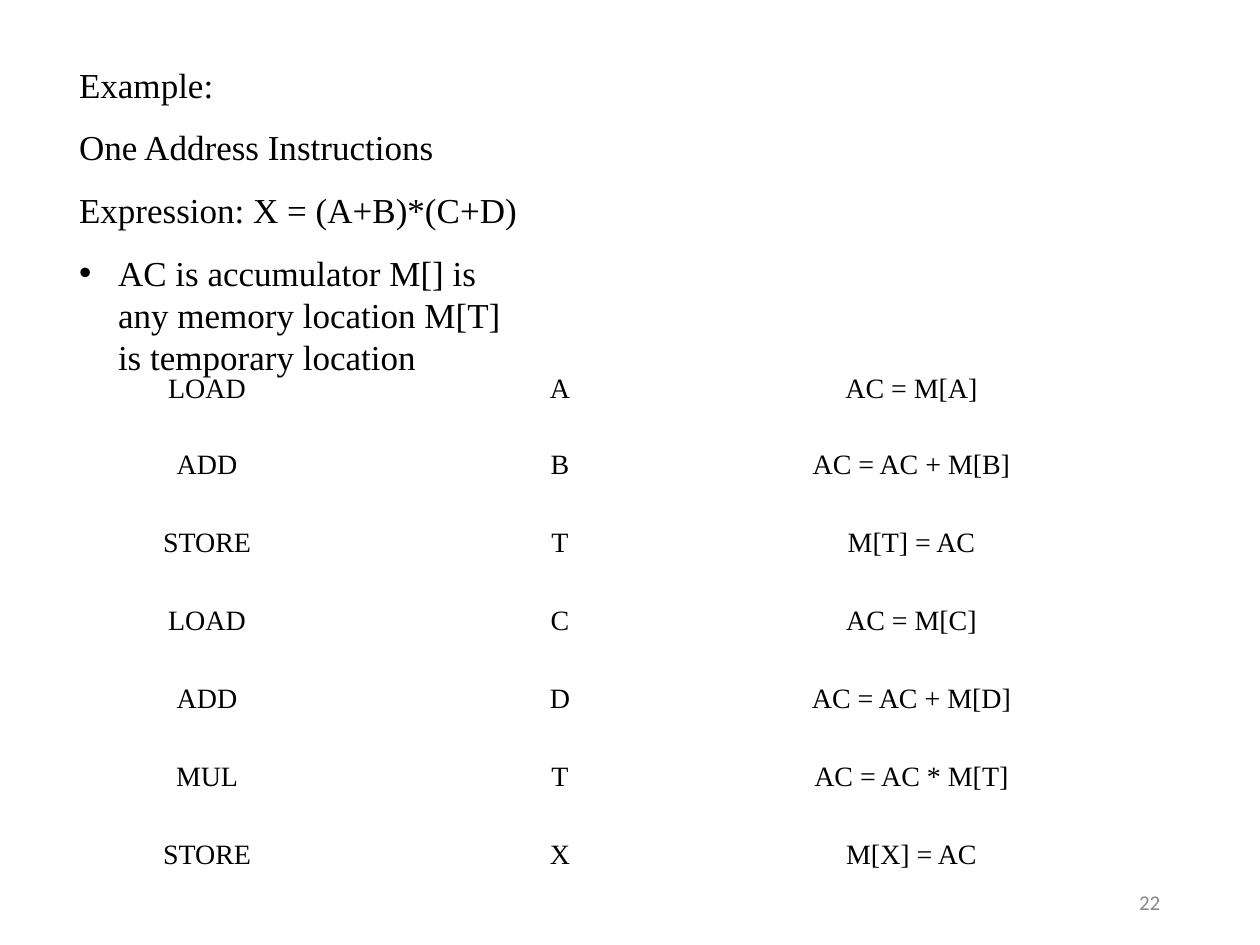
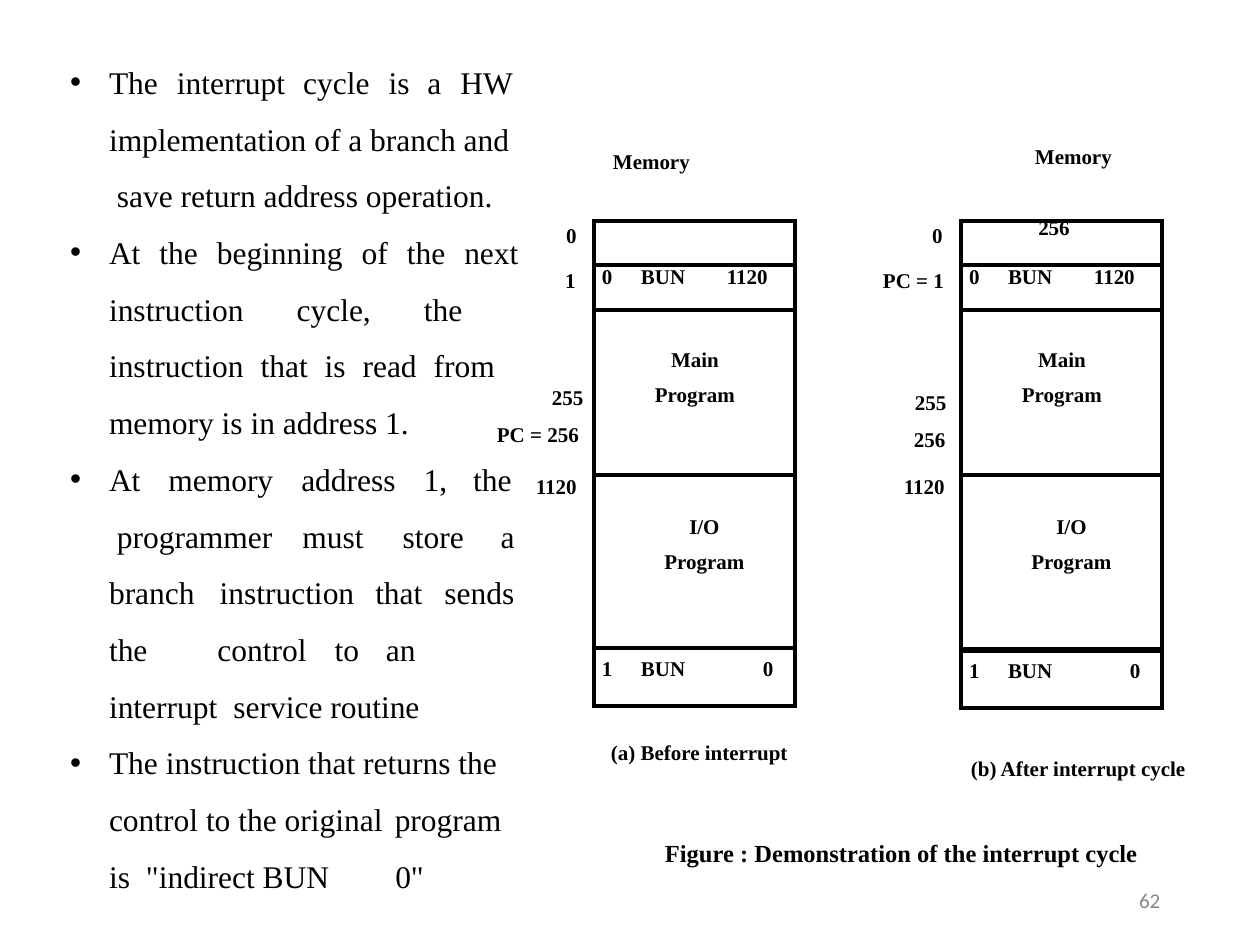
from pptx import Presentation
from pptx.dml.color import RGBColor
from pptx.enum.text import MSO_ANCHOR, MSO_AUTO_SIZE, PP_ALIGN
from pptx.oxml import parse_xml
from pptx.oxml.ns import nsdecls, qn
from pptx.util import Emu, Pt

SERIF, SANS = "Times New Roman", "Calibri"
BLACK, GREY = "000000", "888888"


def px(length):
    return Emu(round(length * 914400 / 126))


def write(frame, lines, size, bold=False, align=PP_ALIGN.LEFT, font=SERIF, color=BLACK):
    """Fill a text frame with one plain paragraph per line and return the paragraphs."""
    frame.margin_left = frame.margin_right = frame.margin_top = frame.margin_bottom = 0
    frame.word_wrap = True
    frame.auto_size = MSO_AUTO_SIZE.NONE
    frame.vertical_anchor = MSO_ANCHOR.TOP
    frame.text = "\n".join(lines)
    for paragraph in frame.paragraphs:
        paragraph.alignment = align
        paragraph.space_before = paragraph.space_after = 0
        paragraph.font.name = font
        paragraph.font.size = Pt(size)
        paragraph.font.bold = bold
        paragraph.font.color.rgb = RGBColor.from_string(color)
    return frame.paragraphs


prs = Presentation()
prs.slide_width, prs.slide_height = px(1260), px(945)
address_slide = prs.slides.add_slide(prs.slide_layouts[1])
interrupt_slide = prs.slides.add_slide(prs.slide_layouts[1])

# One address instructions: heading and notes
heading = address_slide.shapes.title
heading.left, heading.top, heading.width, heading.height = px(79), px(63), px(446), px(40)
write(heading.text_frame, ["Example:"], 20)

address_notes = [
    "One Address Instructions",
    "Expression: X = (A+B)*(C+D)",
    "AC is accumulator M[] is any memory location M[T] is temporary location",
]

# One list per bullet: each line with the extra width of its word gaps in px
interrupt_notes = [
    [
        ("The interrupt cycle is a HW", [11, 10, 11, 10, 11]),
        ("implementation of a branch and", []),
        (" save return address operation.", []),
    ],
    [
        ("At the beginning of the next", [11] * 5),
        ("instruction cycle, the", [45, 45]),
        ("instruction that is read from", [9] * 4),
        ("memory is in address 1.", []),
    ],
    [
        ("At memory address 1, the", [20, 20, 20, 18]),
        (" programmer must store a", [0, 22, 31, 29]),
        ("branch instruction that sends", [17, 13, 14]),
        ("the control to an", [62, 20, 19]),
        ("interrupt service routine", [8, 0]),
    ],
    [
        ("The instruction that returns the", []),
        ("control to the original program", [0, 0, 0, 4]),
        ("is \"indirect BUN 0\"", [8, 0, 58]),
    ],
]

# Slide, paragraphs, frame, text size, line pitch, first bullet, text indent
for slide, notes, (left, top, width, height), size, pitch, first_bullet, indent in [
    (address_slide, address_notes, (79, 104, 446, 275), 20, 36, 2, 39),
    (interrupt_slide, [""] * len(interrupt_notes), (68, 44, 470, 851), 18, 32.4, 0, 41),
]:
    body = slide.placeholders[1]
    body.left, body.top, body.width, body.height = px(left), px(top), px(width), px(height)
    for index, paragraph in enumerate(write(body.text_frame, notes, size)):
        bulleted = index >= first_bullet
        paragraph.line_spacing = Pt(pitch)
        properties = paragraph._p.get_or_add_pPr()
        properties.set("marL", str(px(indent if bulleted else 0)))
        properties.set("indent", str(px(-39 if bulleted else 0)))
        bullet = '<a:buChar %s char="•"/>' if bulleted else "<a:buNone %s/>"
        properties.find(qn("a:defRPr")).addprevious(parse_xml(bullet % nsdecls("a")))

accumulator_note = address_slide.placeholders[1].text_frame.paragraphs[-1]
accumulator_note.line_spacing = Pt(24)
accumulator_note.space_before = Pt(12)

for paragraph, lines in zip(interrupt_slide.placeholders[1].text_frame.paragraphs, interrupt_notes):
    for line_index, (line, gaps) in enumerate(lines):
        if line_index:
            paragraph.add_line_break()
        words = line.split(" ", len(gaps))
        for word, gap in zip(words, gaps):
            paragraph.add_run().text = word
            space = paragraph.add_run()
            space.text = " "
            space._r.get_or_add_rPr().set("spc", str(round(gap / 1.75 * 100)))
        paragraph.add_run().text = words[-1]

interrupt_title = interrupt_slide.shapes.title
interrupt_title._element.getparent().remove(interrupt_title._element)

# Instruction listing, behind the notes
instructions = [
    ("LOAD", "A", "AC = M[A]"),
    ("ADD", "B", "AC = AC + M[B]"),
    ("STORE", "T", "M[T] = AC"),
    ("LOAD", "C", "AC = M[C]"),
    ("ADD", "D", "AC = AC + M[D]"),
    ("MUL", "T", "AC = AC * M[T]"),
    ("STORE", "X", "M[X] = AC"),
]
listing_frame = address_slide.shapes.add_table(7, 3, px(146), px(374), px(883), px(500))
address_slide.shapes._spTree.insert(2, listing_frame._element)
listing = listing_frame.table
listing.first_row = listing.horz_banding = False
for column, width in zip(listing.columns, (254, 291, 338)):
    column.width = px(width)
for row_index, instruction in enumerate(instructions):
    listing.rows[row_index].height = px(55 if row_index in (0, 6) else 78)
    for column_index, (text, margins) in enumerate(zip(instruction, ((0, 132), (29, 0), (103, 0)))):
        cell = listing.cell(row_index, column_index)
        cell.fill.background()
        cell.margin_left, cell.margin_right = map(px, margins)
        write(cell.text_frame, [text], 16, align=PP_ALIGN.CENTER)
        cell.margin_left, cell.margin_right = map(px, margins)
        cell.margin_top, cell.margin_bottom = px(21 if row_index else 0), 0

# Memory before and after the interrupt: left edge, return address, I/O height, rule above last row
for left, return_address, io_height, last_rule in [(594, "", 173, 2.25), (961, "256", 175, 4.25)]:
    row_heights = (44, 45, 165, io_height, 58)
    memory = interrupt_slide.shapes.add_table(
        5, 3, px(left), px(221), px(201), px(sum(row_heights))).table
    memory.first_row = memory.horz_banding = False
    for column, width in zip(memory.columns, (34, 79, 88)):
        column.width = px(width)
    for row, height in zip(memory.rows, row_heights):
        row.height = px(height)

    for row_index in range(5):
        merged = row_index in (0, 2, 3)
        for column_index in range(3):
            cell = memory.cell(row_index, column_index)
            cell.margin_left = cell.margin_right = cell.margin_top = cell.margin_bottom = 0
            cell.fill.background()
            rules = [
                ("lnL", 2.25 if merged or column_index == 0 else 0),
                ("lnR", 2.25 if merged or column_index == 2 else 0),
                ("lnT", last_rule if row_index == 4 else 2.25),
                ("lnB", last_rule if row_index == 3 else 2.25),
            ]
            for position, (side, weight) in enumerate(rules):
                paint = f'<a:solidFill><a:srgbClr val="{BLACK}"/></a:solidFill>' if weight else "<a:noFill/>"
                cell._tc.get_or_add_tcPr().insert(position, parse_xml(
                    f'<a:{side} {nsdecls("a")} w="{Pt(weight)}">{paint}</a:{side}>'))
        if merged:
            memory.cell(row_index, 0).merge(memory.cell(row_index, 2))

    # Row, column, lines, margins (left, top, right), alignment
    for row_index, column_index, lines, margins, align in [
        (0, 0, [return_address], (0, 0, 15), PP_ALIGN.CENTER),
        (1, 0, ["0"], (8, 1, 0), PP_ALIGN.LEFT),
        (1, 1, ["BUN"], (13, 1, 0), PP_ALIGN.LEFT),
        (1, 2, ["1120"], (20, 1, 0), PP_ALIGN.LEFT),
        (2, 0, ["Main", "Program"], (1, 39, 0), PP_ALIGN.CENTER),
        (3, 0, ["I/O", "Program"], (20, 41, 0), PP_ALIGN.CENTER),
        (4, 0, ["1"], (8, 10, 0), PP_ALIGN.LEFT),
        (4, 1, ["BUN"], (13, 10, 0), PP_ALIGN.LEFT),
        (4, 2, ["0"], (56, 10, 0), PP_ALIGN.LEFT),
    ]:
        cell = memory.cell(row_index, column_index)
        paragraphs = write(cell.text_frame, lines, 12, bold=True, align=align)
        cell.margin_left, cell.margin_top, cell.margin_right = map(px, margins)
        for paragraph in paragraphs[1:]:
            paragraph.space_before = Pt(6.5)
    memory.cell(0, 0).text_frame.paragraphs[0].line_spacing = Pt(11)

# Memory labels and captions: text, left edge, middle, size
labels = [
    ("Memory", 613, 161, 12),
    ("0", 566, 235, 12),
    ("1", 565, 280, 12),
    ("255", 552, 397, 12),
    ("PC = 256", 497, 434, 12),
    ("1120", 536, 486, 12),
    ("(a) Before interrupt", 611, 752, 12),
    ("Memory", 1035, 156, 12),
    ("0", 932, 235, 12),
    ("PC = 1", 883, 280, 12),
    ("255", 915, 402, 12),
    ("256", 914, 439, 12),
    ("1120", 904, 486, 12),
    ("(b) After interrupt cycle", 971, 768, 12),
    ("Figure : Demonstration of the interrupt cycle", 665, 852, 14),
]
for text, left, middle, size in labels:
    height = 2 * size
    width = 20 + 0.85 * size * len(text)
    label = interrupt_slide.shapes.add_textbox(px(left), px(middle - height / 2), px(width), px(height))
    write(label.text_frame, [text], size, bold=True)

# Page numbers
for slide, number, top in [(address_slide, "22", 890), (interrupt_slide, "62", 888)]:
    page = slide.shapes.add_textbox(px(1139), px(top), px(32), px(25))
    write(page.text_frame, [number], 12, font=SANS, color=GREY)

prs.save("out.pptx")
